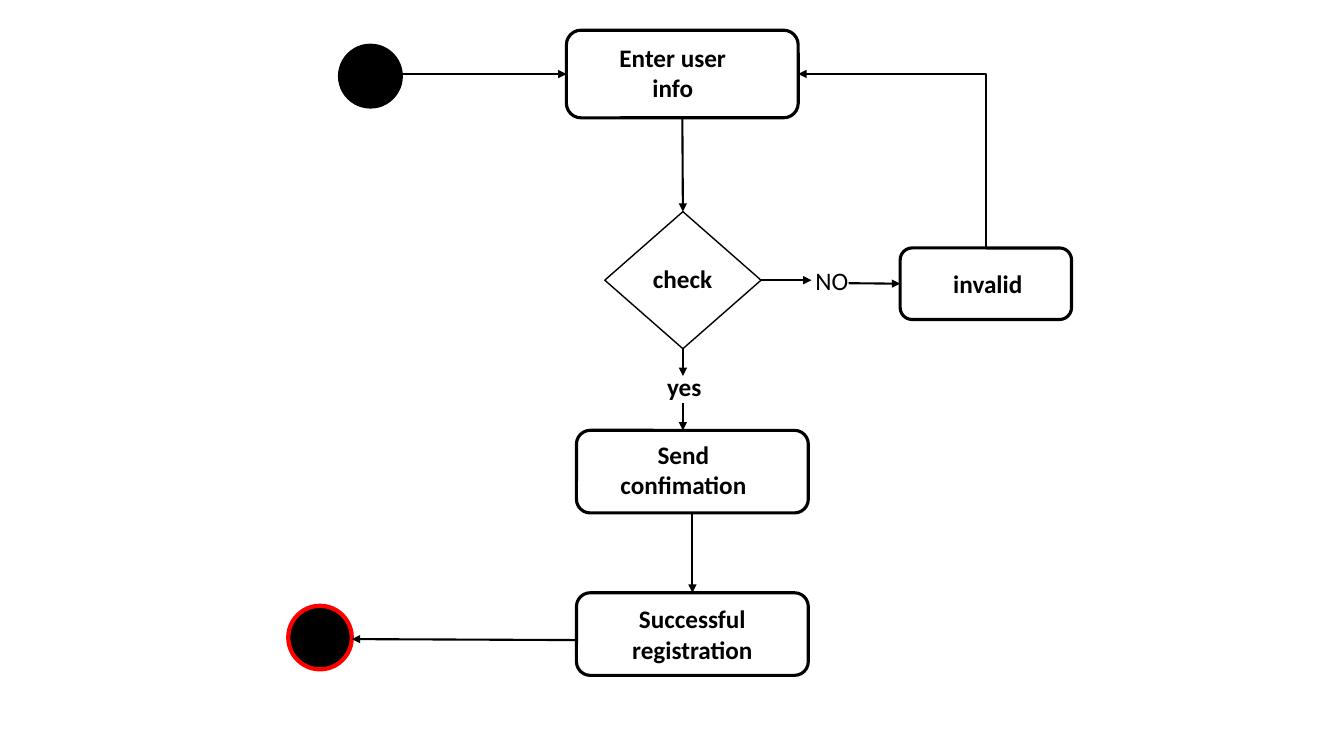
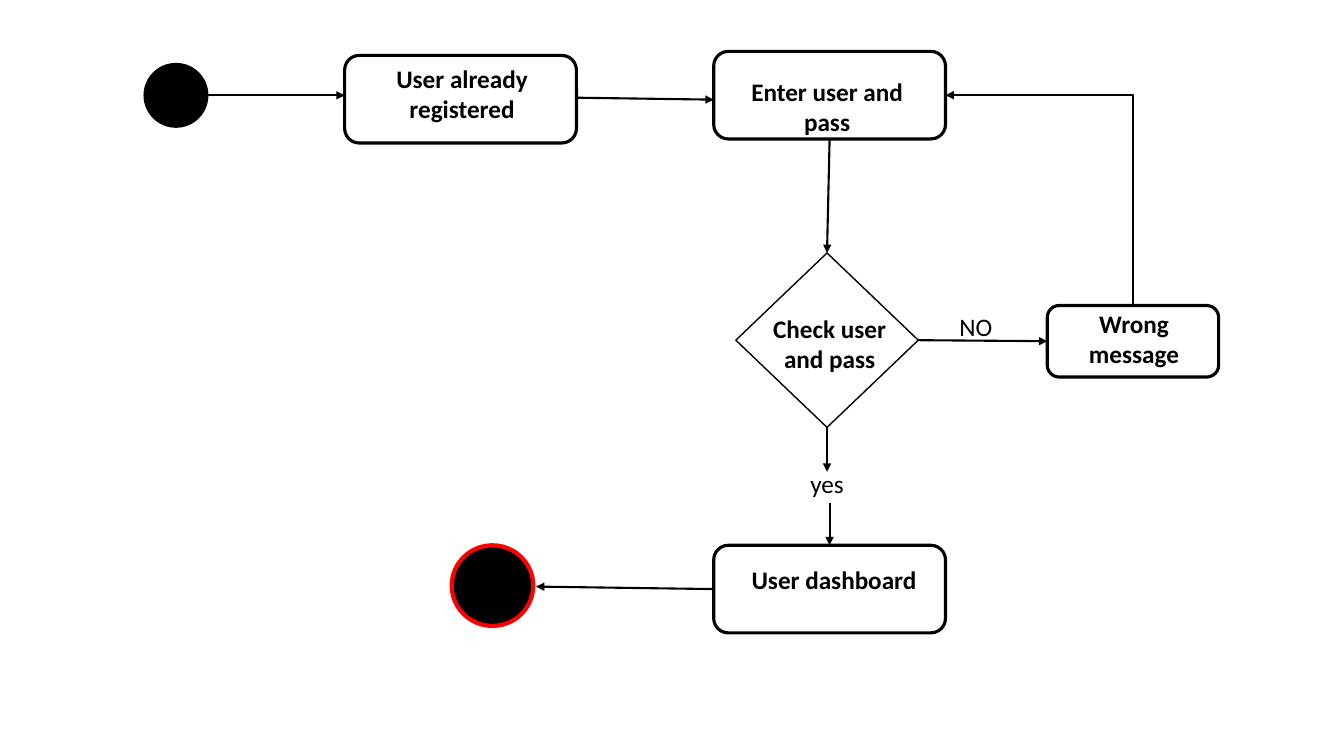
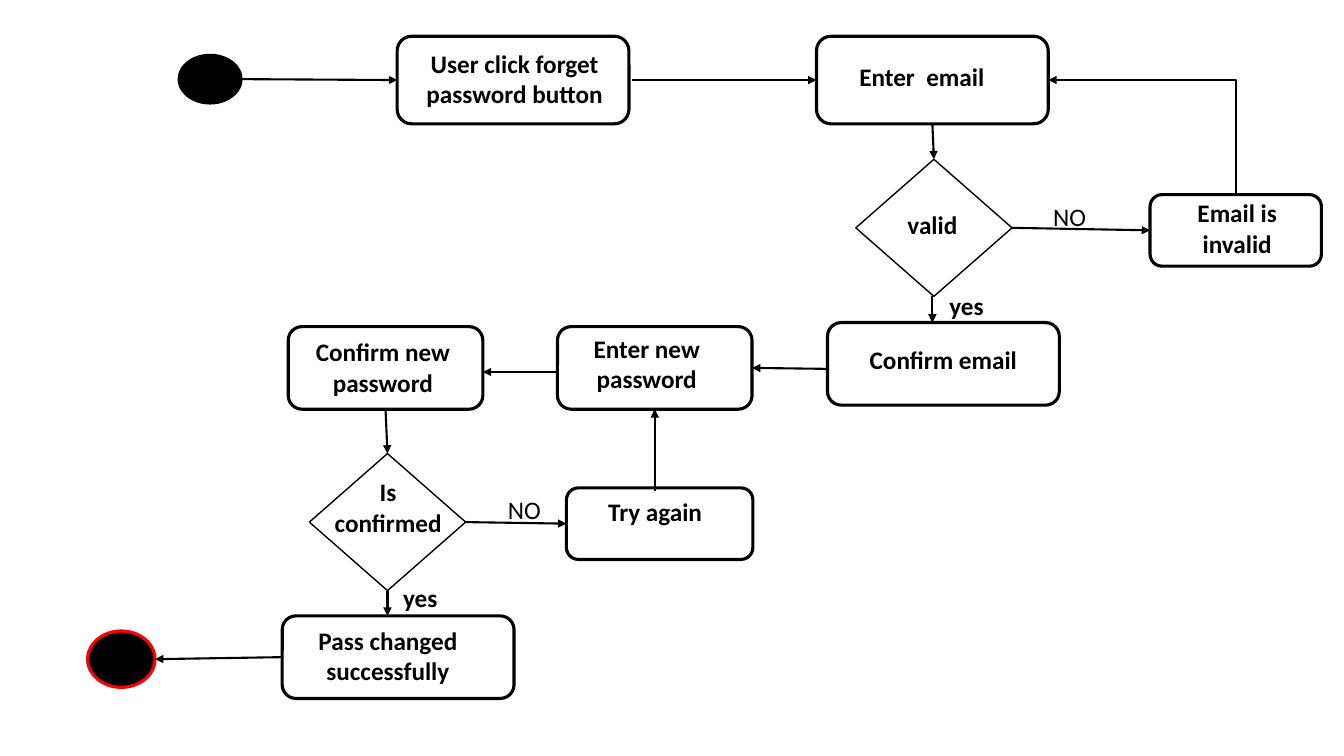
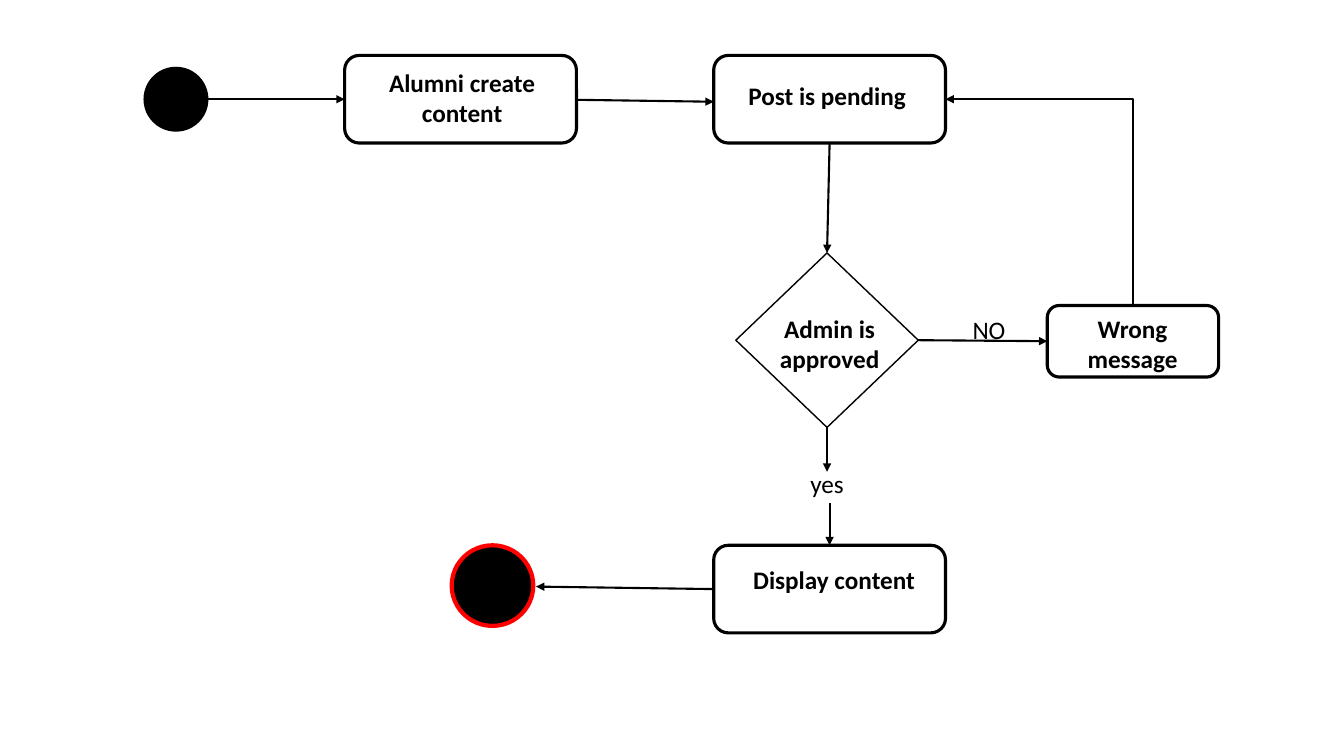
from dataclasses import dataclass

from lxml import etree
from pptx import Presentation
from pptx.dml.color import RGBColor
from pptx.enum.shapes import MSO_CONNECTOR, MSO_SHAPE
from pptx.enum.text import MSO_AUTO_SIZE, PP_ALIGN
from pptx.oxml.ns import qn
from pptx.util import Pt

ROUNDED, DIAMOND, OVAL = MSO_SHAPE.ROUNDED_RECTANGLE, MSO_SHAPE.DIAMOND, MSO_SHAPE.OVAL
STRAIGHT, ELBOW = MSO_CONNECTOR.STRAIGHT, MSO_CONNECTOR.ELBOW
LEFT, CENTER = PP_ALIGN.LEFT, PP_ALIGN.CENTER
FIT_SHAPE = MSO_AUTO_SIZE.SHAPE_TO_FIT_TEXT


@dataclass(frozen=True)
class Theme:
    ink: RGBColor = RGBColor(0, 0, 0)
    paper: RGBColor = RGBColor(255, 255, 255)
    stop: RGBColor = RGBColor(255, 0, 0)
    font: str = "Calibri"
    text_size: float = 18
    line_height: float = 22.3
    padding: float = 3.6
    step_line: float = 2.25
    thin_line: float = 1
    stop_line: float = 3
    arrow_line: float = 1.5


THEME = Theme()

# Node sizes: width, height
STEP = (165.6, 62.6)
LOW_STEP = (165.6, 59)
NARROW_STEP = (139, 59)
RETRY_STEP = (133.2, 51.1)
NOTE = (122.4, 51.1)
CHECK = (111.6, 97.9)
WIDE_CHECK = (130.3, 124.6)
DOT = (45.4, 45.4)
FLAT_DOT = (45.4, 35.3)
BIG_DOT = (58.3, 57.6)
FLAT_STOP = (48.2, 40.3)


@dataclass(frozen=True)
class Box:
    x: float
    y: float
    width: float
    height: float

    @property
    def top(self):
        return self.x + self.width / 2, self.y

    @property
    def bottom(self):
        return self.x + self.width / 2, self.y + self.height

    @property
    def left(self):
        return self.x, self.y + self.height / 2

    @property
    def right(self):
        return self.x + self.width, self.y + self.height / 2


def write(page, text, x, y, width, lines=1, bold=True, align=CENTER):
    """Place a text box whose height follows its number of lines."""
    height = lines * THEME.line_height + 2 * THEME.padding
    frame = page.shapes.add_textbox(Pt(x), Pt(y), Pt(width), Pt(height)).text_frame
    frame.word_wrap = True
    frame.auto_size = FIT_SHAPE
    para = frame.paragraphs[0]
    para.alignment = align
    span = para.add_run()
    span.text = text
    span.font.name = THEME.font
    span.font.size = Pt(THEME.text_size)
    span.font.bold = bold
    span.font.color.rgb = THEME.ink


def outline(page, kind, place, size, fill, line, weight):
    """Draw one preset shape and return its box."""
    box = Box(*place, *size)
    shape = page.shapes.add_shape(kind, Pt(box.x), Pt(box.y), Pt(box.width), Pt(box.height))
    shape.shadow.inherit = False
    shape.fill.solid()
    shape.fill.fore_color.rgb = fill
    shape.line.color.rgb = line
    shape.line.width = Pt(weight)
    return box


def node(page, place, size, text, caption, lines=1, kind=ROUNDED):
    """Draw a step or decision; caption is (offset x, offset y, width) in its box."""
    weight = THEME.thin_line if kind == DIAMOND else THEME.step_line
    box = outline(page, kind, place, size, THEME.paper, THEME.ink, weight)
    shift_x, shift_y, width = caption
    write(page, text, box.x + shift_x, box.y + shift_y, width, lines)
    return box


def start_dot(page, place, size=DOT):
    return outline(page, OVAL, place, size, THEME.ink, THEME.ink, THEME.thin_line)


def stop_dot(page, place, size=DOT, weight=THEME.stop_line):
    return outline(page, OVAL, place, size, THEME.ink, THEME.stop, weight)


def answer(page, text, x, y, width, bold=False):
    write(page, text, x, y, width, bold=bold, align=LEFT)


def arrow(page, start, end, kind=STRAIGHT):
    """Draw a connector with a triangle at its end."""
    connector = page.shapes.add_connector(kind, *(Pt(value) for value in (*start, *end)))
    connector.line.color.rgb = THEME.ink
    connector.line.width = Pt(THEME.arrow_line)
    properties = connector._element.spPr
    etree.SubElement(properties.find(qn("a:ln")), qn("a:tailEnd"), type="triangle")
    etree.SubElement(properties, qn("a:effectLst"))
    return properties


def loop_back(page, start, end):
    """Draw an arrow that rises from start, then runs left to end."""
    middle_x, middle_y = (start[0] + end[0]) / 2, (start[1] + end[1]) / 2
    half_rise, half_run = (start[1] - end[1]) / 2, (start[0] - end[0]) / 2
    # The frame is laid on its side, then turned a quarter to the left
    properties = arrow(page, (middle_x - half_rise, middle_y + half_run),
                       (middle_x + half_rise, middle_y - half_run), ELBOW)
    properties.find(qn("a:xfrm")).set("rot", "16200000")
    properties.find(qn("a:prstGeom")).set("prst", "bentConnector2")


def new_page(deck):
    return deck.slides.add_slide(deck.slide_layouts[6])


def registration_flow(deck):
    page = new_page(deck)

    # Nodes
    start = start_dot(page, (241.9, 31.7))
    enter = node(page, (404.6, 21.6), STEP, "Enter user info", (15.1, 5, 121.7), 2)
    check = node(page, (432, 151.2), CHECK, "check", (5.8, 33.1, 99.4), kind=DIAMOND)
    invalid = node(page, (643, 177.1), NOTE, "invalid", (1.4, 10.8, 122.4))
    send = node(page, (411.8, 307.4), LOW_STEP, "Send confimation", (9.4, 2.9, 133.9), 2)
    success = node(page, (411.8, 423.4), LOW_STEP, "Successful registration",
                   (15.8, 4.3, 133.9), 2)
    stop = stop_dot(page, (205.9, 432.7))

    # Answers
    answer(page, "NO", 575.3, 185.8, 40.3)
    answer(page, "yes", 469.4, 261.4, 51.1, bold=True)

    # Arrows
    arrow(page, (start.right[0], enter.left[1]), enter.left)
    arrow(page, enter.bottom, check.top)
    arrow(page, check.right, (579.6, check.right[1]))
    arrow(page, (606.2, 202.3), invalid.left)
    loop_back(page, invalid.top, enter.right)
    arrow(page, check.bottom, (check.bottom[0], 268.6))
    arrow(page, (check.bottom[0], 288), (check.bottom[0], send.y))
    arrow(page, send.bottom, success.top)
    arrow(page, (success.x, 457.2), (stop.right[0], 456.5))


@dataclass(frozen=True)
class Review:
    """Wording and fine placing of a flow with one check."""
    first: str
    entry: str
    entry_lines: int
    check: str
    outcome: str
    start_y: float
    first_caption: tuple
    entry_y: float
    link_y: float
    note_caption: tuple
    no_place: tuple


LOGIN = Review("User already registered", "Enter user and pass", 2, "Check user and pass",
               "User dashboard", start_y=45.4, first_caption=(2.2, 2.2, 163.4),
               entry_y=36.7, link_y=69.8, note_caption=(19.4, -1.4, 85),
               no_place=(678.2, 218.9, 66.2))
POSTING = Review("Alumni create content", "Post is pending", 1, "Admin is approved",
                 "Display content", start_y=48.2, first_caption=(2.2, 5, 163.4),
                 entry_y=39.6, link_y=71.3, note_caption=(17.3, 2.2, 87.1),
                 no_place=(687.6, 221, 47.5))


def review_flow(deck, review):
    page = new_page(deck)

    # Nodes
    start = start_dot(page, (103, review.start_y))
    first = node(page, (246.2, 39.6), STEP, review.first, review.first_caption, 2)
    entry = node(page, (509.8, review.entry_y), STEP, review.entry,
                 (14.4, 14.4, 133.2), review.entry_lines)
    check = node(page, (525.6, 180.7), WIDE_CHECK, review.check,
                 (17.3, 39.6, 99.4), 2, DIAMOND)
    wrong = node(page, (748.1, 218.2), NOTE, "Wrong message", review.note_caption, 2)
    outcome = node(page, (509.8, 389.5), STEP, review.outcome, (4.3, 10.1, 163.4))
    stop = stop_dot(page, (322.6, 389.5), BIG_DOT)

    # Answers
    answer(page, "NO", *review.no_place)
    answer(page, "yes", 571.7, 331.2, 49)

    # Arrows
    arrow(page, start.right, (first.x, start.right[1]))
    arrow(page, (first.right[0], review.link_y), (entry.x, review.link_y + 1.4))
    arrow(page, entry.bottom, check.top)
    arrow(page, check.right, wrong.left)
    loop_back(page, wrong.top, entry.right)
    arrow(page, check.bottom, (check.bottom[0], 337))
    arrow(page, (outcome.top[0], 359.3), outcome.top)
    arrow(page, outcome.left, (stop.right[0] + 2, 419))


def reset_flow(deck):
    page = new_page(deck)

    # Nodes for the e-mail check
    start = start_dot(page, (127.4, 38.9), FLAT_DOT)
    click = node(page, (283.7, 25.9), STEP, "User click forget password button",
                 (2.2, 5, 163.4), 2)
    email = node(page, (583.2, 25.9), STEP, "Enter  email", (14.4, 14.4, 121.7))
    valid = node(page, (611.3, 113.8), CHECK, "valid", (5, 32.4, 99.4), kind=DIAMOND)
    invalid = node(page, (821.5, 139), NOTE, "Email is invalid", (15.8, -1.4, 92.9), 2)
    confirm_email = node(page, (591.1, 230.4), LOW_STEP, "Confirm email",
                         (15.8, 12.2, 133.9))

    # Nodes for the new password
    enter = node(page, (398.2, 233.3), NARROW_STEP, "Enter new password",
                 (6.5, 1.4, 114.5), 2)
    confirm = node(page, (205.9, 233.3), NARROW_STEP, "Confirm new password",
                   (7.9, 3.6, 119.5), 2)
    confirmed = node(page, (221, 324), CHECK, "Is confirmed", (6.5, 13, 99.4), 2, DIAMOND)
    retry = node(page, (404.6, 348.5), RETRY_STEP, "Try again", (0, 2.2, 126.7))
    changed = node(page, (201.6, 439.9), LOW_STEP, "Pass changed successfully",
                   (8.6, 2.9, 133.9), 2)
    stop = stop_dot(page, (62.6, 450.7), FLAT_STOP, THEME.step_line)

    # Answers
    answer(page, "NO", 745.2, 140.4, 66.2)
    answer(page, "yes", 671, 203.8, 51.1, bold=True)
    answer(page, "NO", 355.7, 349.2, 66.2)
    answer(page, "yes", 280.8, 412.6, 51.1, bold=True)

    # Arrows
    arrow(page, start.right, click.left)
    arrow(page, (click.right[0] + 2, email.left[1]), email.left)
    arrow(page, email.bottom, valid.top)
    arrow(page, valid.right, invalid.left)
    loop_back(page, invalid.top, email.right)
    arrow(page, (666, valid.bottom[1]), (666, confirm_email.y))
    arrow(page, (confirm_email.x, 263.5), enter.right)
    arrow(page, (enter.x, 265.7), (confirm.right[0], 265.7))
    arrow(page, confirm.bottom, confirmed.top)
    arrow(page, confirmed.right, retry.left)
    arrow(page, (enter.bottom[0], retry.y + 2), enter.bottom)
    arrow(page, confirmed.bottom, (confirmed.bottom[0], changed.y))
    arrow(page, changed.left, stop.right)


def main():
    deck = Presentation()
    deck.slide_width, deck.slide_height = Pt(960), Pt(540)
    registration_flow(deck)
    review_flow(deck, LOGIN)
    reset_flow(deck)
    review_flow(deck, POSTING)
    deck.save("out.pptx")


if __name__ == "__main__":
    main()
